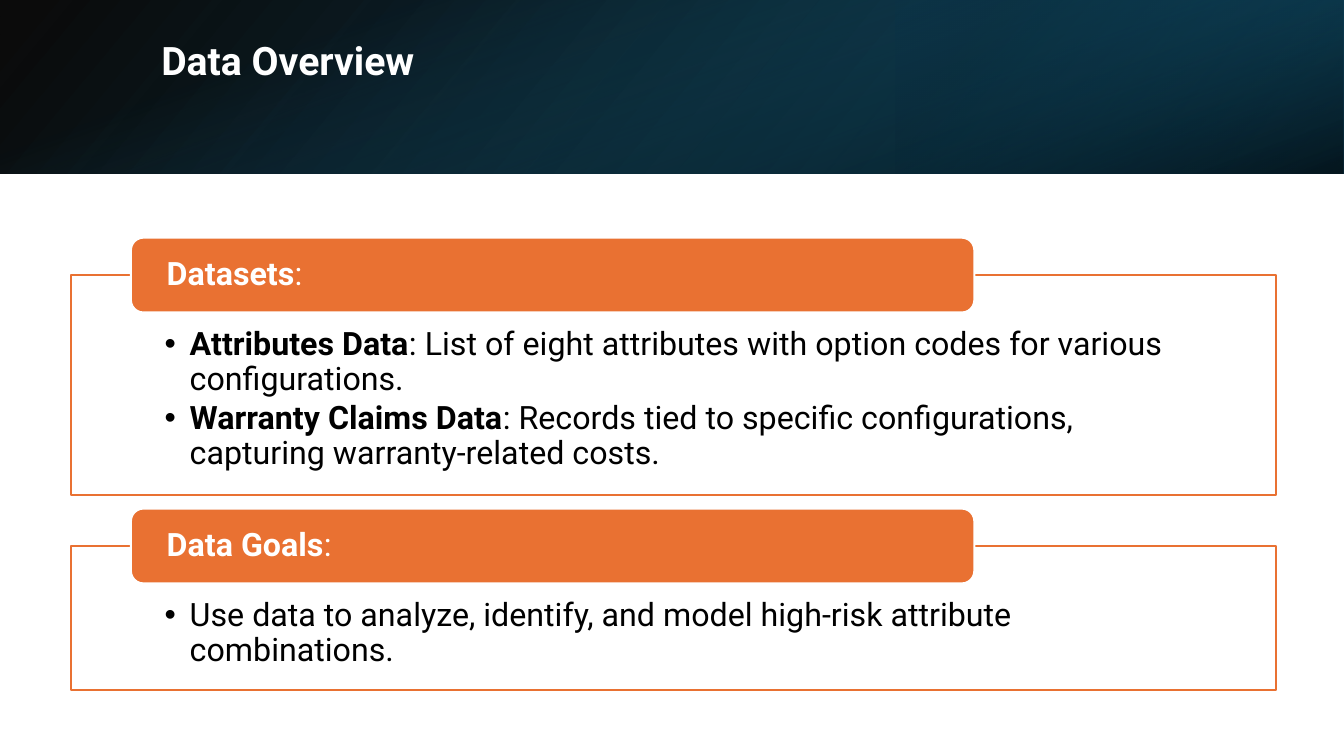
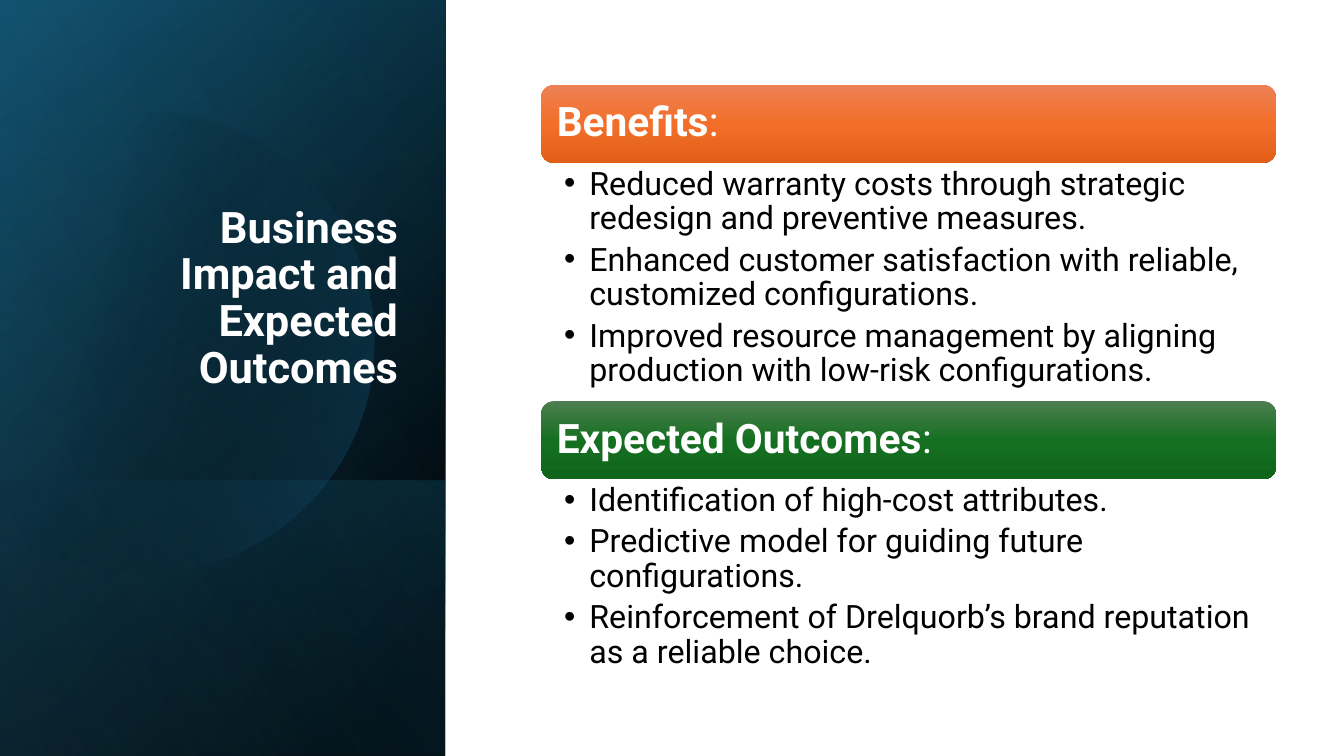
from dataclasses import dataclass
from math import cos, radians, sin
from typing import NamedTuple, Sequence

from lxml import etree
from pptx import Presentation
from pptx.dml.color import RGBColor
from pptx.enum.shapes import MSO_SHAPE
from pptx.enum.text import MSO_ANCHOR, MSO_AUTO_SIZE, PP_ALIGN
from pptx.oxml.ns import qn
from pptx.presentation import Presentation as Deck
from pptx.shapes.base import BaseShape
from pptx.slide import Slide
from pptx.text.text import TextFrame
from pptx.util import Pt

RECT, ROUND_RECT = MSO_SHAPE.RECTANGLE, MSO_SHAPE.ROUNDED_RECTANGLE
TOP, MIDDLE, BOTTOM = MSO_ANCHOR.TOP, MSO_ANCHOR.MIDDLE, MSO_ANCHOR.BOTTOM
LEFT, RIGHT = PP_ALIGN.LEFT, PP_ALIGN.RIGHT
NO_AUTOFIT = MSO_AUTO_SIZE.NONE
TWO_CONTENT = 3


@dataclass(frozen=True)
class Theme:
    font: str = "Roboto"
    white: str = "FFFFFF"
    black: str = "000000"
    navy: str = "104862"
    deep: str = "0B3041"
    teal: str = "156082"
    sky: str = "46B1E1"
    orange: str = "E97132"
    overview_title: float = 28
    impact_title: float = 31
    list_size: float = 23
    dataset_header: float = 23
    impact_header: float = 29
    line_spacing: float = 0.9
    border: float = 1.5


THEME = Theme()


class Box(NamedTuple):
    left: float
    top: float
    width: float
    height: float


class Margins(NamedTuple):
    left: float = 7.2
    top: float = 3.6
    right: float = 7.2
    bottom: float = 3.6


class Stop(NamedTuple):
    position: int
    color: str
    opacity: int = 100


class Gradient(NamedTuple):
    """Colour stops along a direction in clockwise degrees."""
    angle: int
    stops: tuple[Stop, ...]


class Run(NamedTuple):
    text: str
    bold: bool = False


@dataclass(frozen=True)
class Layer:
    box: Box
    gradient: Gradient


@dataclass(frozen=True)
class Section:
    heading: str
    items: tuple[tuple[Run, ...], ...]
    top: float
    list_height: float
    gradient: Gradient | None = None


def vertical(*colors: str) -> Gradient:
    """Spread the colours evenly from top to bottom."""
    step = 100 // (len(colors) - 1)
    return Gradient(90, tuple(Stop(i * step, c) for i, c in enumerate(colors)))


HEADER_BAND = Box(0, 0, 960, 124)
SIDE_BAND = Box(0, 0, 318, 540)

HEADER_LAYERS = (
    Layer(HEADER_BAND, Gradient(40, (Stop(0, THEME.black, 96), Stop(100, THEME.navy)))),
    Layer(Box(640, 0, 320, 124),
          Gradient(40, (Stop(19, THEME.deep, 68), Stop(100, THEME.teal, 79)))),
    Layer(HEADER_BAND, Gradient(70, (Stop(23, THEME.teal, 0), Stop(99, THEME.black, 74)))),
)
SIDE_LAYERS = (
    Layer(SIDE_BAND, Gradient(220, (Stop(8, THEME.black), Stop(100, THEME.navy)))),
    Layer(SIDE_BAND, Gradient(240, (Stop(0, THEME.black, 0), Stop(99, THEME.teal, 46)))),
    Layer(Box(0, 343, 318, 197),
          Gradient(140, (Stop(2, THEME.teal, 29), Stop(100, THEME.black, 30)))),
)
SIDE_GLOW = Layer(SIDE_BAND, Gradient(150, (Stop(0, THEME.black, 0), Stop(99, THEME.sky, 11))))
DISC_GRADIENT = Gradient(14, (Stop(29, THEME.black, 0), Stop(100, THEME.teal, 43)))

DATA_SECTIONS = (
    Section("Datasets", (
        (Run("Attributes Data", True),
         Run(": List of eight attributes with option codes for various configurations.")),
        (Run("Warranty Claims Data", True),
         Run(": Records tied to specific configurations, capturing warranty-related costs.")),
    ), 196.5, 157),
    Section("Data Goals", (
        (Run("Use data to analyze, identify, and model high-risk attribute combinations."),),
    ), 390, 103),
)
IMPACT_SECTIONS = (
    Section("Benefits", (
        (Run("Reduced warranty costs through strategic redesign and preventive measures."),),
        (Run("Enhanced customer satisfaction with reliable, customized configurations."),),
        (Run("Improved resource management by aligning production with "
             "low-risk configurations."),),
    ), 60.5, 170, vertical("ED8257", "F26E29", "E25F1A")),
    Section("Expected Outcomes", (
        (Run("Identification of high-cost attributes."),),
        (Run("Predictive model for guiding future configurations."),),
        (Run("Reinforcement of Drelquorb’s brand reputation as a reliable choice."),),
    ), 286.5, 144, vertical("4D7E50", "156F21", "0F661B")),
)


def rgb(color: str) -> RGBColor:
    return RGBColor.from_string(color)


def fill_gradient(shape: BaseShape, gradient: Gradient) -> None:
    shape.fill.gradient()
    shape.fill.gradient_angle = (360 - gradient.angle) % 360
    stop_list = shape.element.find(".//" + qn("a:gsLst"))
    for default_stop in list(stop_list):
        stop_list.remove(default_stop)
    for stop in gradient.stops:
        entry = etree.SubElement(stop_list, qn("a:gs"), pos=str(stop.position * 1000))
        color = etree.SubElement(entry, qn("a:srgbClr"), val=stop.color)
        if stop.opacity < 100:
            etree.SubElement(color, qn("a:alpha"), val=str(stop.opacity * 1000))


def outline(shape: BaseShape, color: str) -> None:
    shape.line.color.rgb = rgb(color)
    shape.line.width = Pt(THEME.border)


def add_bullet(paragraph_properties: etree.ElementBase, indent: float) -> None:
    paragraph_properties.set("marL", str(Pt(indent)))
    paragraph_properties.set("indent", str(-Pt(indent)))
    etree.SubElement(paragraph_properties, qn("a:buChar"), char="•")


def write_text(frame: TextFrame, paragraphs: Sequence[Sequence[Run]], *, size: float,
               color: str, anchor: MSO_ANCHOR = TOP, align: PP_ALIGN = LEFT,
               margins: Margins = Margins(), space_after: float = 0,
               bulleted: bool = False) -> None:
    frame.word_wrap = True
    frame.auto_size = NO_AUTOFIT
    frame.vertical_anchor = anchor
    frame.margin_left, frame.margin_top, frame.margin_right, frame.margin_bottom = map(Pt, margins)
    for index, runs in enumerate(paragraphs):
        paragraph = frame.add_paragraph() if index else frame.paragraphs[0]
        paragraph.alignment = align
        paragraph.line_spacing = THEME.line_spacing
        paragraph.space_before = Pt(0)
        paragraph.space_after = Pt(space_after)
        if bulleted:
            add_bullet(paragraph._p.get_or_add_pPr(), 18)
        for piece in runs:
            run = paragraph.add_run()
            run.text = piece.text
            run.font.name = THEME.font
            run.font.size = Pt(size)
            run.font.bold = piece.bold
            run.font.color.rgb = rgb(color)


def place(placeholder: BaseShape, box: Box) -> None:
    """Position a placeholder and bring it in front of what is drawn so far."""
    placeholder.left, placeholder.top, placeholder.width, placeholder.height = map(Pt, box)
    placeholder.element.getparent().append(placeholder.element)


def add_panel(slide: Slide, kind: MSO_SHAPE, box: Box) -> BaseShape:
    panel = slide.shapes.add_shape(kind, *map(Pt, box))
    panel.shadow.inherit = False
    panel.line.fill.background()
    return panel


def add_layers(slide: Slide, layers: Sequence[Layer]) -> None:
    for layer in layers:
        fill_gradient(add_panel(slide, RECT, layer.box), layer.gradient)


def add_disc(slide: Slide, center_x: float, center_y: float, radius: float) -> None:
    """Draw a disc cut off at the left edge of the slide."""
    rim = [(Pt(max(0, center_x + radius * cos(radians(a)))),
            Pt(center_y + radius * sin(radians(a)))) for a in range(0, 360, 3)]
    builder = slide.shapes.build_freeform(*rim[0])
    builder.add_line_segments(rim[1:], close=True)
    disc = builder.convert_to_shape()
    disc.shadow.inherit = False
    disc.line.fill.background()
    fill_gradient(disc, DISC_GRADIENT)


def add_title(slide: Slide, text: str, box: Box, *, size: float, anchor: MSO_ANCHOR,
              align: PP_ALIGN = LEFT, margins: Margins = Margins()) -> None:
    place(slide.shapes.title, box)
    write_text(slide.shapes.title.text_frame, [[Run(text, True)]], size=size,
               color=THEME.white, anchor=anchor, align=align, margins=margins)


def add_header(slide: Slide, section: Section, box: Box, *, size: float,
               inset: float) -> BaseShape:
    header = add_panel(slide, ROUND_RECT, box)
    write_text(header.text_frame, [[Run(section.heading, True), Run(":")]], size=size,
               color=THEME.white, anchor=MIDDLE, margins=Margins(inset, 0, inset, 0))
    return header


def add_list(slide: Slide, position: int, section: Section, box: Box, *, margins: Margins,
             space_after: float) -> BaseShape:
    body = slide.placeholders[position]
    place(body, box)
    write_text(body.text_frame, section.items, size=THEME.list_size, color=THEME.black,
               margins=margins, space_after=space_after, bulleted=True)
    return body


def build_overview(deck: Deck) -> None:
    slide = deck.slides.add_slide(deck.slide_layouts[TWO_CONTENT])
    add_layers(slide, HEADER_LAYERS)
    add_title(slide, "Data Overview", Box(108, 27.5, 790, 69), size=THEME.overview_title,
              anchor=TOP, margins=Margins(top=2))
    header_height = 53.5
    for position, section in enumerate(DATA_SECTIONS, start=1):
        header_top = section.top - header_height / 2
        body = add_list(slide, position, section,
                        Box(50.5, section.top, 861, section.list_height),
                        margins=Margins(67, 37.5, 67, 13), space_after=3.5)
        body.fill.solid()
        body.fill.fore_color.rgb = rgb(THEME.white)
        outline(body, THEME.orange)
        header = add_header(slide, section, Box(93.5, header_top, 602.5, header_height),
                            size=THEME.dataset_header, inset=23)
        header.fill.solid()
        header.fill.fore_color.rgb = rgb(THEME.orange)
        outline(header, THEME.white)


def build_impact(deck: Deck) -> None:
    slide = deck.slides.add_slide(deck.slide_layouts[TWO_CONTENT])
    add_layers(slide, SIDE_LAYERS)
    add_disc(slide, 103, 244.5, 164.5)
    add_layers(slide, [SIDE_GLOW])
    add_title(slide, "Business Impact and Expected Outcomes", Box(66, 132.5, 225.5, 152),
              size=THEME.impact_title, anchor=BOTTOM, align=RIGHT)
    left, width, header_height = 386.5, 525, 56
    for position, section in enumerate(IMPACT_SECTIONS, start=1):
        header = add_header(slide, section, Box(left, section.top, width, header_height),
                            size=THEME.impact_header, inset=8.5)
        fill_gradient(header, section.gradient)
        add_list(slide, position, section,
                 Box(left, section.top + header_height, width, section.list_height),
                 margins=Margins(16.5, 3, 16.5, 3), space_after=4.6)


def main() -> None:
    deck = Presentation()
    deck.slide_width, deck.slide_height = Pt(960), Pt(540)
    build_overview(deck)
    build_impact(deck)
    deck.save("out.pptx")


if __name__ == "__main__":
    main()
